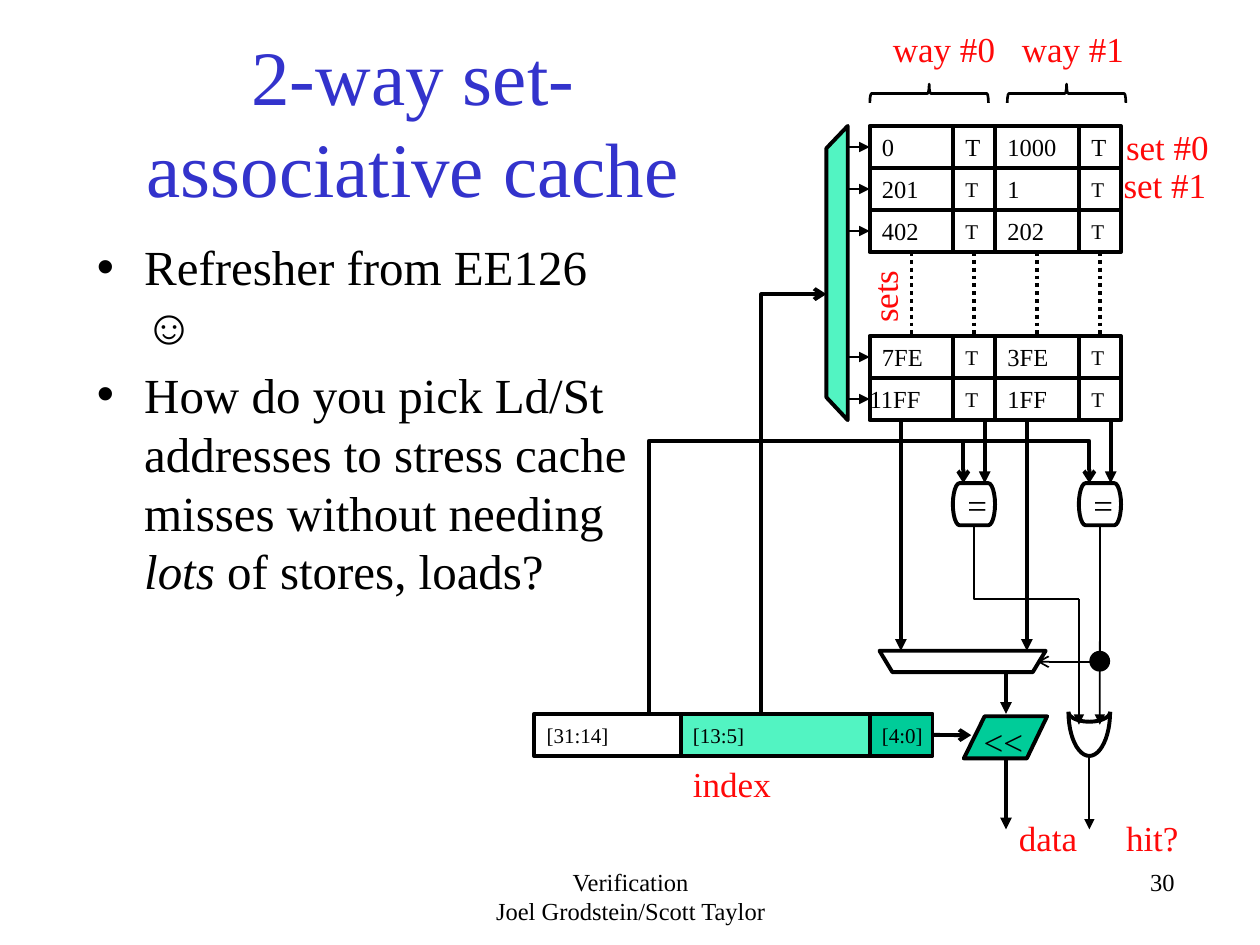
from math import cos, pi, sin
from lxml.etree import SubElement
from pptx import Presentation
from pptx.dml.color import RGBColor
from pptx.enum.dml import MSO_LINE_DASH_STYLE as Dash
from pptx.enum.shapes import MSO_CONNECTOR_TYPE as Connector, MSO_SHAPE as Shape
from pptx.enum.text import MSO_ANCHOR as Anchor, MSO_AUTO_SIZE as AutoSize, PP_ALIGN as Align
from pptx.oxml.ns import qn
from pptx.util import Cm, Pt

color = RGBColor.from_string
FONT = "Times New Roman"
BLACK, RED, MINT, GREEN = "000000", "FF0909", "52F4C2", "00CC99"

presentation = Presentation()
presentation.slide_width, presentation.slide_height = Cm(25.4), Cm(19.05)
slide = presentation.slides.add_slide(presentation.slide_layouts[1])
shapes = slide.shapes


def add_path(points, width=2.25, arrow=None, fill=None, dash=None):
    points = [(Cm(x), Cm(y)) for x, y in points]
    if len(points) == 2:
        path = shapes.add_connector(Connector.STRAIGHT, *points[0], *points[1])
    else:
        builder = shapes.build_freeform(*points[0], scale=1.0)
        builder.add_line_segments(points[1:], close=points[0] == points[-1])
        path = builder.convert_to_shape()
        path.shadow.inherit = False
        path.fill.background()
        if fill:
            path.fill.solid()
            path.fill.fore_color.rgb = color(fill)
    path.line.color.rgb = color(BLACK)
    path.line.width = Pt(width)
    if dash:
        path.line.dash_style = dash
    properties = path.element.spPr
    if arrow:
        SubElement(properties.find(qn("a:ln")), qn("a:tailEnd"), type=arrow)
    if len(points) == 2:
        SubElement(properties, qn("a:effectLst"))
    return path


def add_box(kind, x, y, width, height, text="", size=14, fill=None, line=2.25):
    box = shapes.add_shape(kind, Cm(x), Cm(y), Cm(width), Cm(height))
    box.shadow.inherit = False
    box.fill.background()
    if fill:
        box.fill.solid()
        box.fill.fore_color.rgb = color(fill)
    box.line.color.rgb = color(BLACK)
    box.line.width = Pt(line)
    if text:
        box.text_frame.word_wrap = False
        box.text_frame.vertical_anchor = Anchor.MIDDLE
        paragraph = box.text_frame.paragraphs[0]
        paragraph.alignment = Align.LEFT
        run = paragraph.add_run()
        run.text = text
        run.font.name, run.font.size = FONT, Pt(size)
        run.font.color.rgb = color(BLACK)
    return box


title = shapes.title
title.left, title.top, title.width, title.height = Cm(1.9), Cm(0.84), Cm(12.85), Cm(3.18)
title.text_frame.auto_size = AutoSize.NONE
run = title.text_frame.paragraphs[0].add_run()
run.text = "2-way set-associative cache"
run.font.name, run.font.size = FONT, Pt(44)
run.font.color.rgb = color("3333CC")

body = slide.placeholders[1]
body.left, body.top, body.width, body.height = Cm(1.7), Cm(4.65), Cm(11.58), Cm(6.99)
body.text_frame.auto_size = AutoSize.NONE
bullets = [
    [("Refresher from EE126 ☺", False)],
    [
        ("How do you pick Ld/St addresses to stress cache misses without needing ", False),
        ("lots", True),
        (" of stores, loads?", False),
    ],
]
for index, parts in enumerate(bullets):
    if index == 0:
        paragraph = body.text_frame.paragraphs[0]
        paragraph.space_before = Pt(0)
    else:
        paragraph = body.text_frame.add_paragraph()
    for text, italic in parts:
        run = paragraph.add_run()
        run.text = text
        run.font.name, run.font.size, run.font.italic = FONT, Pt(28), italic
        run.font.color.rgb = color(BLACK)

row_height = 2.54 / 3
columns = [(17.53, 1.69), (19.21, 0.85), (20.06, 1.69), (21.75, 0.85)]
cache_rows = {
    0: ["0", "T", "1000", "T"],
    1: ["201", "T", "1", "T"],
    2: ["402", "T", "202", "T"],
    5: ["7FE", "T", "3FE", "T"],
    6: ["11FF", "T", "1FF", "T"],
}
cells = {}
for row, values in cache_rows.items():
    top = 2.54 + row * row_height
    for column, (left, width) in enumerate(columns):
        text = values[column]
        size = 12 if text == "T" and row else 14
        cells[row, column] = add_box(Shape.RECTANGLE, left, top, width, row_height, text, size)
    middle = top + row_height / 2
    arrow = add_path([(17.09, middle), (17.53, middle)], 1, "triangle")
    arrow.end_connect(cells[row, 0], 1)
cells[6, 0].text_frame.margin_left = cells[6, 0].text_frame.margin_right = Cm(0)

for column, (left, width) in enumerate(columns):
    center = left + width / 2
    dots = add_path([(center, 5.08), (center, 6.77)], dash=Dash.ROUND_DOT)
    dots.begin_connect(cells[2, column], 2)
    dots.end_connect(cells[5, column], 0)

for left in (18.54, 21.31):
    add_box(Shape.LEFT_BRACE, left, 0.69, 0.38, 2.39, line=1.5).rotation = 90

decoder = [(17.09, 2.54), (17.09, 8.47), (16.66, 8.01), (16.66, 2.99), (17.09, 2.54)]
mux = [(17.73, 13.12), (21.08, 13.12), (20.82, 13.55), (17.99, 13.55), (17.73, 13.12)]
shifter = [(19.85, 14.44), (19.43, 15.29), (20.7, 15.29), (21.11, 14.44), (19.85, 14.44)]
for outline, fill in [(decoder, MINT), (mux, None), (shifter, GREEN)]:
    add_path(outline, fill=fill)

for depth in (0.89, 0.2):
    angles = [step * pi / 24 for step in range(25)]
    add_path([(21.96 + 0.42 * cos(angle), 14.35 + depth * sin(angle)) for angle in angles])

add_box(Shape.RECTANGLE, 10.77, 14.39, 2.95, 0.85, "[31:14]", 12)
add_box(Shape.RECTANGLE, 13.72, 14.39, 3.81, 0.85, "[13:5]", 12, MINT)
offset_field = add_box(Shape.RECTANGLE, 17.53, 14.39, 1.27, 0.85, "[4:0]", 12, GREEN)
comparators = [
    add_box(Shape.FLOWCHART_TERMINATOR, left, 9.74, 0.85, 0.85, "=", 20)
    for left in (19.21, 21.75)
]
junction = add_box(Shape.FLOWCHART_CONNECTOR, 21.96, 13.12, 0.42, 0.42, fill=BLACK)
junction.line.fill.background()

for x, top, bottom, width in [
    (18.16, 8.47, 13.12, 2.25),
    (20.7, 8.47, 13.12, 2.25),
    (19.85, 8.47, 9.74, 2.25),
    (22.39, 8.47, 9.74, 2.25),
    (20.28, 13.55, 14.39, 2.25),
    (20.28, 15.29, 16.72, 2.25),
    (21.96, 15.24, 16.72, 1),
    (21.75, 12.07, 14.61, 1),
]:
    add_path([(x, top), (x, bottom)], width, "triangle")

hit_line = add_path([(22.17, 10.59), (22.17, 14.61)], 1, "triangle")
hit_line.begin_connect(comparators[1], 2)
offset_line = add_path([(18.8, 14.82), (19.58, 14.82)], arrow="arrow")
offset_line.begin_connect(offset_field, 3)

add_path([(15.35, 14.39), (15.35, 5.93), (16.66, 5.93)], arrow="arrow")
add_path([(13.08, 14.39), (13.08, 8.89), (19.42, 8.89), (19.42, 9.74)], arrow="arrow")
add_path([(19.42, 8.89), (21.96, 8.89), (21.96, 9.74)], arrow="arrow")
add_path([(22.17, 12.7), (22.17, 13.34), (20.91, 13.34)], 1, "arrow")
add_path([(19.63, 10.59), (19.63, 12.07), (21.75, 12.07)], 1)

for lines, x, y, width, height, size, ink, alignment, rotation in [
    (["way #0"], 17.75, 0.43, 2.6, 1.1, 20, RED, Align.LEFT, 0),
    (["way #1"], 20.35, 0.43, 2.97, 1.1, 20, RED, Align.LEFT, 0),
    (["set #0"], 22.45, 2.41, 2.31, 1.1, 20, RED, Align.LEFT, 0),
    (["set #1"], 22.4, 3.18, 2.31, 1.1, 20, RED, Align.LEFT, 0),
    (["sets"], 16.92, 5.31, 1.8, 1.1, 20, RED, Align.LEFT, 270),
    (["index"], 13.72, 15.24, 2.11, 1.1, 20, RED, Align.LEFT, 0),
    (["data"], 20.29, 16.33, 1.88, 1.1, 20, RED, Align.LEFT, 0),
    (["hit?"], 22.45, 16.33, 1.65, 1.1, 20, RED, Align.LEFT, 0),
    (["<<"], 19.58, 14.4, 1.35, 1.1, 20, BLACK, Align.LEFT, 0),
    (["Verification", "Joel Grodstein/Scott Taylor"], 8.69, 17.35, 8.05, 1.27, 14, BLACK, Align.CENTER, 0),
    (["30"], 15.88, 17.35, 8.05, 1.27, 14, BLACK, Align.RIGHT, 0),
]:
    label = shapes.add_textbox(Cm(x), Cm(y), Cm(width), Cm(height))
    label.rotation = rotation
    frame = label.text_frame
    frame.word_wrap = True
    for index, text in enumerate(lines):
        paragraph = frame.add_paragraph() if index else frame.paragraphs[0]
        paragraph.alignment = alignment
        run = paragraph.add_run()
        run.text = text
        run.font.name, run.font.size = FONT, Pt(size)
        run.font.color.rgb = color(ink)

presentation.save("out.pptx")
